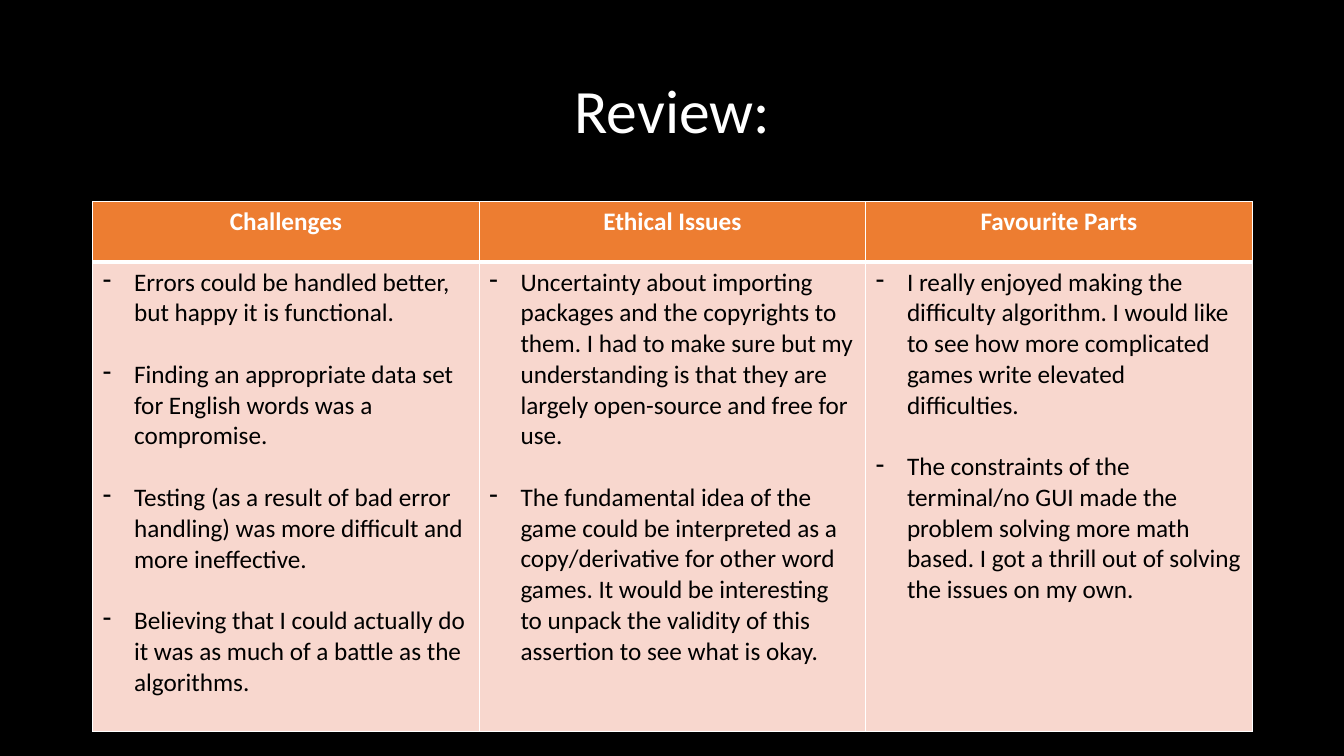
import dataclasses

import lxml.etree
import pptx
import pptx.dml.color
import pptx.enum.text
import pptx.oxml.ns
import pptx.util


@dataclasses.dataclass(frozen=True)
class Theme:
    font: str = "Calibri"
    title_size: int = 44
    body_size: int = 18
    item_gap: int = 22
    thin_line: int = 1
    thick_line: int = 3
    black: str = "000000"
    white: str = "FFFFFF"
    orange: str = "ED7D31"
    blush: str = "F8D7CE"


THEME = Theme()
WIDTH, HEIGHT = 13.33, 7.5
LEFT, CONTENT_WIDTH = 0.92, 11.5
TITLE_TOP, TITLE_HEIGHT = 0.4, 1.45
TABLE_TOP = 2
ROW_HEIGHTS = (0.6, 4.66)
BULLET_INDENT = 0.31

REVIEW = {
    "Challenges": (
        "Errors could be handled better, but happy it is functional.",
        "Finding an appropriate data set for English words was a compromise.",
        "Testing (as a result of bad error handling) was more difficult and more ineffective.",
        "Believing that I could actually do it was as much of a battle as the algorithms.",
    ),
    "Ethical Issues": (
        "Uncertainty about importing packages and the copyrights to them. I had to make sure "
        "but my understanding is that they are largely open-source and free for use.",
        "The fundamental idea of the game could be interpreted as a copy/derivative for other "
        "word games. It would be interesting to unpack the validity of this assertion to see "
        "what is okay.",
    ),
    "Favourite Parts": (
        "I really enjoyed making the difficulty algorithm. I would like to see how more "
        "complicated games write elevated difficulties.",
        "The constraints of the terminal/no GUI made the problem solving more math based. "
        "I got a thrill out of solving the issues on my own.",
    ),
}


def inches(value):
    return pptx.util.Inches(value)


def paint(fill, color):
    fill.solid()
    fill.fore_color.rgb = pptx.dml.color.RGBColor.from_string(color)


def add_span(para, text, size, color, bold=False):
    span = para.add_run()
    span.text = text
    span.font.name = THEME.font
    span.font.size = pptx.util.Pt(size)
    span.font.bold = bold
    span.font.color.rgb = pptx.dml.color.RGBColor.from_string(color)


def add_title(page, text):
    box = page.shapes.add_textbox(
        inches(LEFT), inches(TITLE_TOP), inches(CONTENT_WIDTH), inches(TITLE_HEIGHT))
    frame = box.text_frame
    frame.word_wrap = True
    frame.vertical_anchor = pptx.enum.text.MSO_ANCHOR.MIDDLE
    para = frame.paragraphs[0]
    para.alignment = pptx.enum.text.PP_ALIGN.CENTER
    para.line_spacing = 0.9
    add_span(para, text, THEME.title_size, THEME.white)


def set_borders(cell, **thick_sides):
    properties = cell._tc.get_or_add_tcPr()
    for position, side in enumerate("LRTB"):
        width = thick_sides.get(side, THEME.thin_line)
        line = lxml.etree.Element(
            pptx.oxml.ns.qn(f"a:ln{side}"), w=str(int(pptx.util.Pt(width))))
        solid = lxml.etree.SubElement(line, pptx.oxml.ns.qn("a:solidFill"))
        lxml.etree.SubElement(solid, pptx.oxml.ns.qn("a:srgbClr"), val=THEME.white)
        properties.insert(position, line)


def set_dash(para):
    properties = para._p.get_or_add_pPr()
    indent = int(inches(BULLET_INDENT))
    properties.set("marL", str(indent))
    properties.set("indent", str(-indent))
    lxml.etree.SubElement(properties, pptx.oxml.ns.qn("a:buChar"), char="-")


def fill_heading(cell, text):
    paint(cell.fill, THEME.orange)
    set_borders(cell, B=THEME.thick_line)
    para = cell.text_frame.paragraphs[0]
    para.alignment = pptx.enum.text.PP_ALIGN.CENTER
    add_span(para, text, THEME.body_size, THEME.white, bold=True)


def fill_items(cell, items):
    paint(cell.fill, THEME.blush)
    set_borders(cell, T=THEME.thick_line)
    frame = cell.text_frame
    for index, item in enumerate(items):
        para = frame.add_paragraph() if index else frame.paragraphs[0]
        if index:
            para.space_before = pptx.util.Pt(THEME.item_gap)
        set_dash(para)
        add_span(para, item, THEME.body_size, THEME.black)


def add_review_table(page, review):
    table = page.shapes.add_table(
        len(ROW_HEIGHTS), len(review), inches(LEFT), inches(TABLE_TOP),
        inches(CONTENT_WIDTH), inches(sum(ROW_HEIGHTS))).table
    for row, height in zip(table.rows, ROW_HEIGHTS):
        row.height = inches(height)
    for column, (heading, items) in enumerate(review.items()):
        table.columns[column].width = inches(CONTENT_WIDTH / len(review))
        fill_heading(table.cell(0, column), heading)
        fill_items(table.cell(1, column), items)


def main():
    deck = pptx.Presentation()
    deck.slide_width, deck.slide_height = inches(WIDTH), inches(HEIGHT)
    page = deck.slides.add_slide(deck.slide_layouts[6])
    paint(page.background.fill, THEME.black)
    add_title(page, "Review:")
    add_review_table(page, REVIEW)
    deck.save("out.pptx")


if __name__ == "__main__":
    main()
